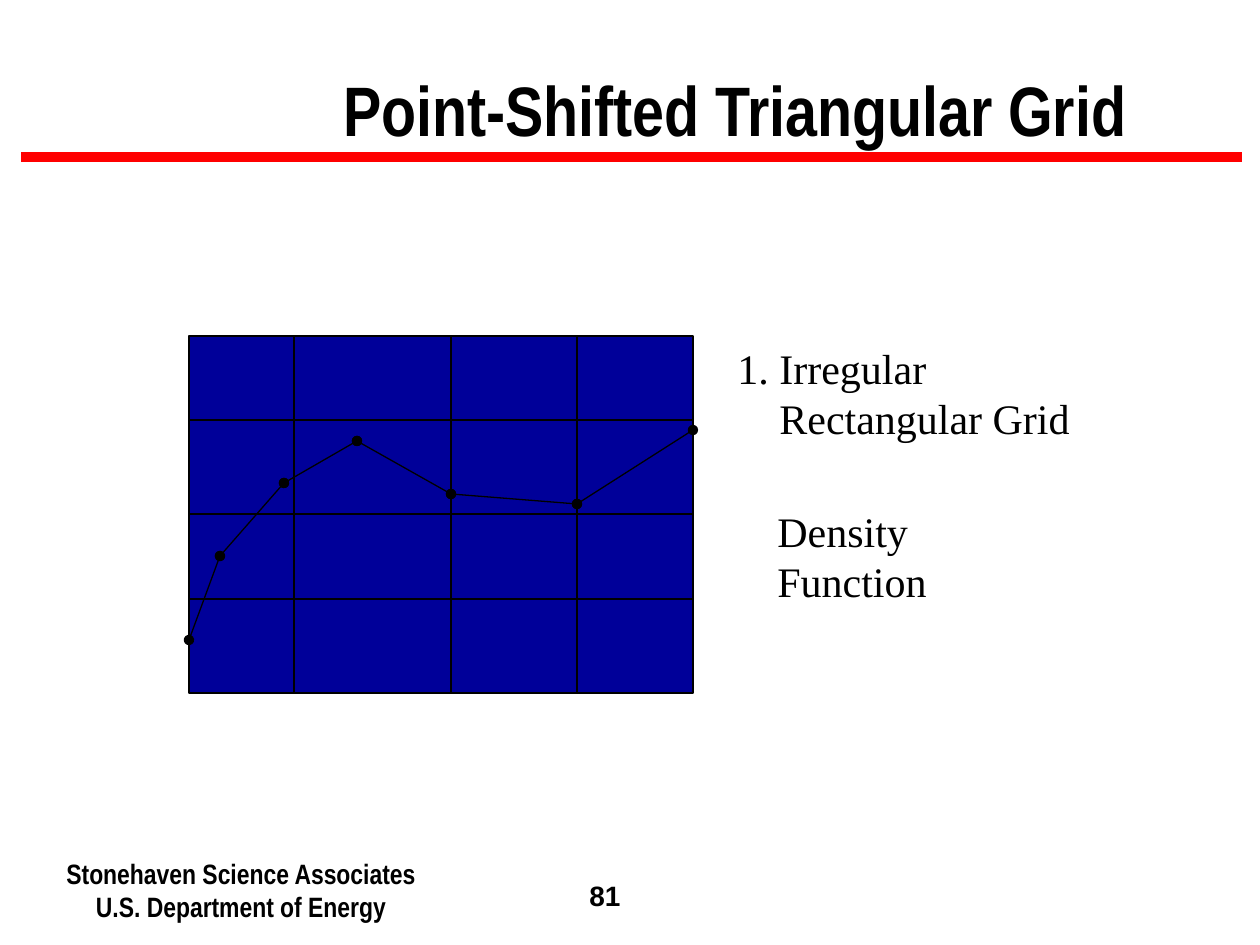
from itertools import pairwise

from lxml import etree
from pptx import Presentation
from pptx import util as u
from pptx.dml.color import RGBColor
from pptx.enum import shapes, text
from pptx.oxml.ns import qn

PX = 914400 // 126

TITLE = "Point-Shifted Triangular Grid"
FOOTER = ["Stonehaven Science Associates", "U.S. Department of Energy"]
PAGE = ["81"]
GRID_LABEL = ["1. Irregular", "Rectangular Grid"]
CURVE_LABEL = ["Density Function"]

LEFT, TOP, RIGHT, BOTTOM = 189, 336, 693, 693
COLUMNS = [294, 451, 577]
ROWS = [420, 514, 599]
CURVE = [(189, 640), (220, 556), (284, 483), (357, 441),
         (451, 494), (577, 504), (693, 430)]


def px(*values):
    return [u.Emu(v * PX) for v in values]


def rgb(color):
    return RGBColor.from_string(color)


def style(p, font, size, bold=False):
    for r in p.runs:
        r.font.name = font
        r.font.size = u.Pt(size)
        r.font.bold = bold
        r.font.color.rgb = rgb("000000")


def add_text(slide, box, lines, font, size, bold=False, align=text.PP_ALIGN.LEFT,
             wrap=True):
    tf = slide.shapes.add_textbox(*px(*box)).text_frame
    tf.word_wrap = wrap
    tf.text = "\n".join(lines)
    for p in tf.paragraphs:
        p.alignment = align
        style(p, font, size, bold)
    return tf


def add_line(parent, start, end, color="000000", width=0.75, dots=False):
    line = parent.shapes.add_connector(
        shapes.MSO_CONNECTOR.STRAIGHT, *px(*start, *end))
    line.line.color.rgb = rgb(color)
    line.line.width = u.Pt(width)
    if dots:
        ln = line.line._get_or_add_ln()
        for tag in ("a:headEnd", "a:tailEnd"):
            etree.SubElement(ln, qn(tag), type="oval")
    etree.SubElement(line._element.spPr, qn("a:effectLst"))


def add_text_shadow(run):
    effects = etree.Element(qn("a:effectLst"))
    shadow = etree.SubElement(effects, qn("a:outerShdw"),
                              dist="35921", dir="2700000", algn="ctr")
    etree.SubElement(shadow, qn("a:srgbClr"), val="808080")
    run.font._element.find(qn("a:solidFill")).addnext(effects)


def add_title(slide):
    title = slide.shapes.title
    title.left, title.top, title.width, title.height = px(210, 0, 1050, 158)
    tf = title.text_frame
    tf.text = TITLE
    tf.vertical_anchor = text.MSO_ANCHOR.BOTTOM
    p = tf.paragraphs[0]
    p.alignment = text.PP_ALIGN.CENTER
    p.line_spacing = 0.9
    style(p, "Arial Narrow", 40, True)
    add_text_shadow(p.runs[0])


def add_density(slide):
    group = slide.shapes.add_group_shape()
    area = group.shapes.add_shape(shapes.MSO_SHAPE.RECTANGLE,
                                  *px(LEFT, TOP, RIGHT - LEFT, BOTTOM - TOP))
    area.shadow.inherit = False
    area.fill.solid()
    area.fill.fore_color.rgb = rgb("000099")
    area.line.color.rgb = rgb("000000")
    area.line.width = u.Pt(0.75)
    for start, end in pairwise(CURVE):
        add_line(group, start, end, dots=True)


def add_grid(slide):
    group = slide.shapes.add_group_shape()
    for x in COLUMNS:
        add_line(group, (x, TOP), (x, BOTTOM))
    for y in ROWS:
        add_line(group, (LEFT, y), (RIGHT, y))


def main():
    prs = Presentation()
    prs.slide_width, prs.slide_height = u.Inches(10), u.Inches(7.5)
    slide = prs.slides.add_slide(prs.slide_layouts[5])

    add_line(slide, (1242, 157), (21, 157), "FF0000", 6)
    add_text(slide, (31, 850, 420, 81), FOOTER, "Arial Narrow", 16, True,
             text.PP_ALIGN.CENTER)
    page = add_text(slide, (577, 872, 73, 47), PAGE, "Arial", 16, True)
    page.paragraphs[0].space_before = u.Pt(10)
    add_title(slide)

    label = add_text(slide, (725, 336, 358, 113), GRID_LABEL, "Times New Roman", 24,
                     wrap=False)
    label.paragraphs[1]._p.get_or_add_pPr().set("marL", str(42 * PX))
    add_density(slide)
    add_grid(slide)
    add_text(slide, (765, 499, 315, 63), CURVE_LABEL, "Times New Roman", 24, wrap=False)
    prs.save("out.pptx")


if __name__ == "__main__":
    main()
